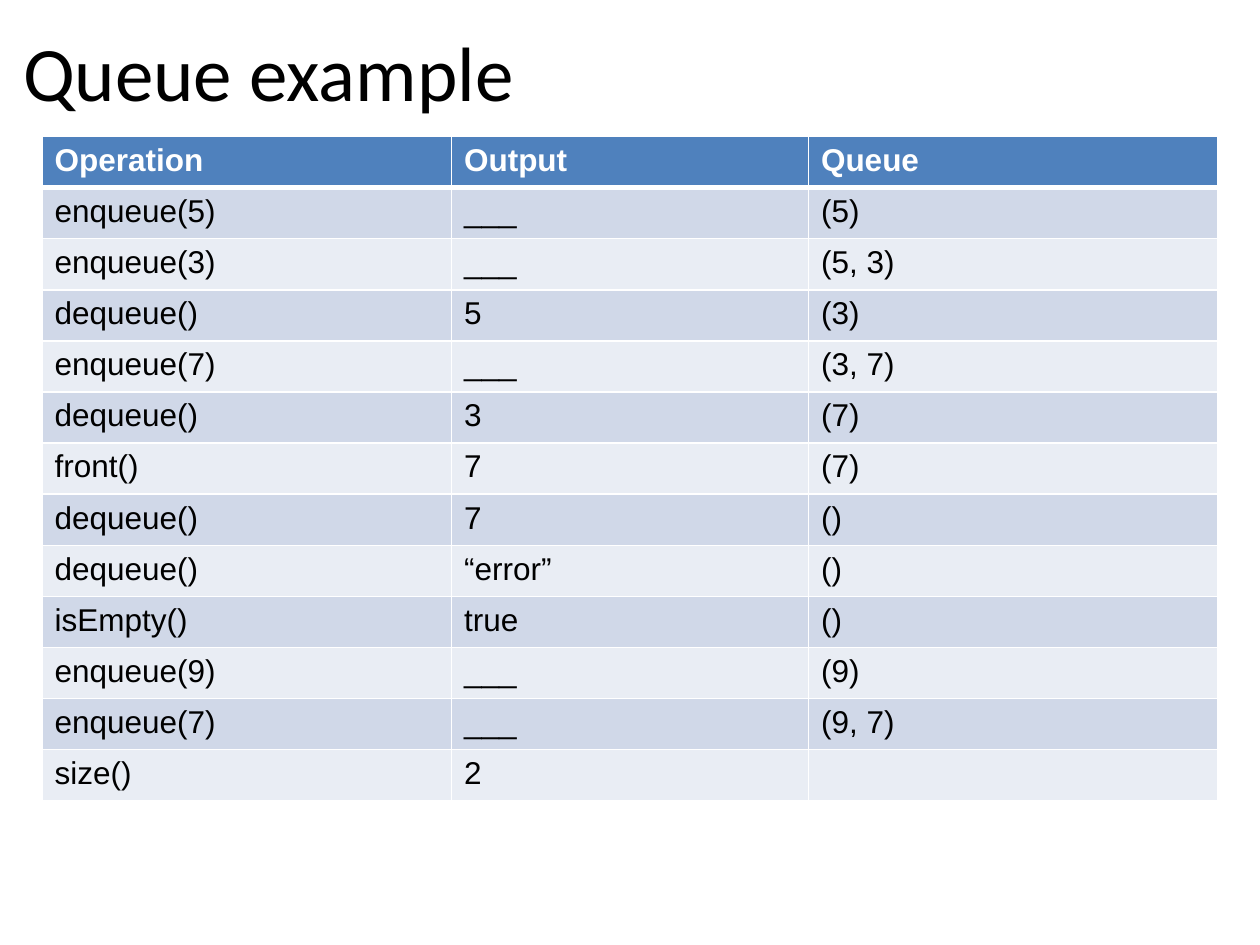
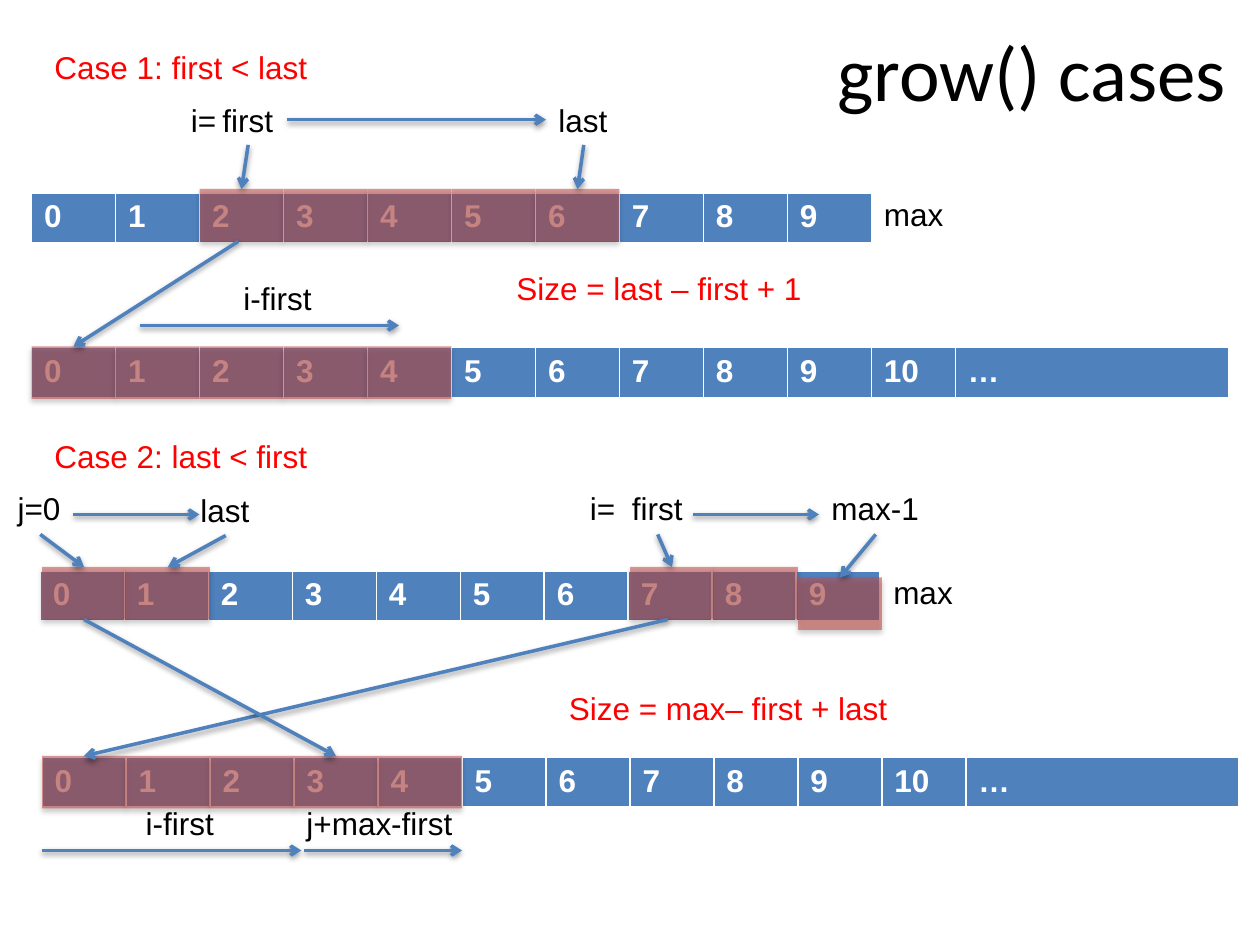
"""Build two slides on queues: an operation trace and the cases of grow()."""
from lxml.etree import Element, SubElement
from pptx import Presentation
from pptx.dml.color import RGBColor
from pptx.enum.shapes import MSO_CONNECTOR as Connector, MSO_SHAPE as Shape
from pptx.enum.text import MSO_ANCHOR as Anchor, MSO_AUTO_SIZE as AutoSize, PP_ALIGN as Align
from pptx.oxml.ns import qn
from pptx.util import Inches, Pt

BLACK = RGBColor(0x00, 0x00, 0x00)
WHITE = RGBColor(0xFF, 0xFF, 0xFF)
RED = RGBColor(0xFF, 0x00, 0x00)
BLUE = RGBColor(0x4F, 0x81, 0xBD)
BRICK = RGBColor(0xC0, 0x50, 0x4D)
BANDS = [RGBColor(0xE9, 0xED, 0xF4), RGBColor(0xD0, 0xD8, 0xE8)]

UNIT = Inches(1) / 12
CELL = 8
MARK_HEIGHT = 5
TABLE_ROW = 4.87
BODY_FONT = {"name": "Arial", "size": Pt(18), "bold": False}
HEADER_FONT = {**BODY_FONT, "bold": True}
TITLE_FONT = {"name": "Calibri", "size": Pt(44)}


def add_grid(slide, left, top, widths, rows):
    frame = [round(n * UNIT) for n in (left, top, sum(widths), TABLE_ROW * len(rows))]
    table = slide.shapes.add_table(len(rows), len(widths), *frame).table
    for column, width in zip(table.columns, widths):
        column.width = round(width * UNIT)
    for row_number, texts in enumerate(rows):
        header = row_number == 0
        table.rows[row_number].height = round(TABLE_ROW * UNIT)
        for column_number, text in enumerate(texts):
            cell = table.cell(row_number, column_number)
            cell.fill.solid()
            cell.fill.fore_color.rgb = BLUE if header else BANDS[row_number % 2]
            properties = cell._tc.get_or_add_tcPr()
            for position, side in enumerate("LRTB"):
                thick = header and side == "B"
                border = Element(qn(f"a:ln{side}"), w=str(Pt(3 if thick else 1)))
                color = SubElement(SubElement(border, qn("a:solidFill")), qn("a:srgbClr"))
                color.set("val", str(WHITE))
                properties.insert(position, border)
            if text:
                run = cell.text_frame.paragraphs[0].add_run()
                run.text = text
                run.font.color.rgb = WHITE if header else BLACK
                for name, value in (HEADER_FONT if header else BODY_FONT).items():
                    setattr(run.font, name, value)


def add_shadow(shape, opacity, distance):
    effects = SubElement(shape.element.spPr, qn("a:effectLst"))
    shadow = SubElement(effects, qn("a:outerShdw"), blurRad="40000", dist=str(distance),
                        dir="5400000", rotWithShape="0")
    color = SubElement(shadow, qn("a:srgbClr"), val="000000")
    SubElement(color, qn("a:alpha"), val=str(opacity * 1000))


presentation = Presentation()
presentation.slide_width, presentation.slide_height = Inches(10), Inches(7.5)

slides = []
for text, alignment in [("Queue example", Align.LEFT), ("grow() cases", Align.RIGHT)]:
    slide = presentation.slides.add_slide(presentation.slide_layouts[5])
    title = slide.shapes.title
    title.left, title.top, title.width, title.height = (
        round(n * UNIT) for n in (1, 1, 117, 11.4))
    title.text_frame.text = text
    title.text_frame.vertical_anchor = Anchor.MIDDLE
    paragraph = title.text_frame.paragraphs[0]
    paragraph.alignment = alignment
    font = paragraph.runs[0].font
    font.color.rgb = BLACK
    for name, value in TITLE_FONT.items():
        setattr(font, name, value)
    slides.append(slide)
trace_slide, grow_slide = slides

operations = [
    ("Operation", "Output", "Queue"),
    ("enqueue(5)", "___", "(5)"),
    ("enqueue(3)", "___", "(5, 3)"),
    ("dequeue()", "5", "(3)"),
    ("enqueue(7)", "___", "(3, 7)"),
    ("dequeue()", "3", "(7)"),
    ("front()", "7", "(7)"),
    ("dequeue()", "7", "()"),
    ("dequeue()", "“error”", "()"),
    ("isEmpty()", "true", "()"),
    ("enqueue(9)", "___", "(9)"),
    ("enqueue(7)", "___", "(9, 7)"),
    ("size()", "2", ""),
]
add_grid(trace_slide, 4, 13, [39, 34, 39], operations)

old_array = [str(index) for index in range(10)]
grown_array = old_array + ["10", "…"]
for left, top, array in [(3, 18.36, old_array), (3.84, 54.36, old_array),
                         (3, 33.12, grown_array), (4, 72.12, grown_array)]:
    widths = [CELL] * len(array)
    if array is grown_array:
        widths[-1] = 26
    add_grid(grow_slide, left, top, widths, [array])

used_cells = [(19, 18, 5), (3, 33, 5), (4, 54, 2), (60, 54, 2), (76, 55, 1), (4, 72, 5)]
for left, top, count in used_cells:
    for index in range(count):
        frame = (left + index * CELL, top, CELL, MARK_HEIGHT)
        mark = grow_slide.shapes.add_shape(Shape.RECTANGLE, *(round(n * UNIT) for n in frame))
        mark.fill.solid()
        mark.fill.fore_color.rgb = BRICK
        color = mark.element.spPr.find(qn("a:solidFill")).find(qn("a:srgbClr"))
        SubElement(color, qn("a:alpha"), val="58000")
        mark.line.fill.background()
        add_shadow(mark, 35, 23000)

arrows = [
    (23.64, 13.8, 23, 18), (55.6, 13.8, 55, 18), (27.36, 11.4, 52, 11.4),
    (22.68, 23, 7, 33), (13.32, 31, 38, 31),
    (3.84, 50.9, 8, 54), (21.5, 51, 16, 54), (7, 49, 19, 49),
    (62.64, 50.9, 64, 54), (83.4, 50.9, 80, 55), (66, 49, 78, 49),
    (63.6, 59, 8, 72), (8, 59, 32, 72), (4, 81, 28.7, 81), (29, 81, 44, 81),
]
for ends in arrows:
    arrow = grow_slide.shapes.add_connector(
        Connector.STRAIGHT, *(round(n * UNIT) for n in ends))
    arrow.line.color.rgb = BLUE
    arrow.line.width = Pt(2)
    SubElement(arrow.element.spPr.find(qn("a:ln")), qn("a:tailEnd"), type="arrow")
    add_shadow(arrow, 38, 20000)

labels = [
    ("Case 1: first < last", 4, 4, 26.8, RED),
    ("i=", 17, 9, 4.9, BLACK),
    ("first", 20, 9, 7.3, BLACK),
    ("last", 52, 9, 7.1, BLACK),
    ("max", 83, 18, 8.2, BLACK),
    ("i-first", 22, 26, 9, BLACK),
    ("Size = last – first + 1", 48, 25, 29.9, RED),
    ("Case 2: last < first", 4, 41, 26.8, RED),
    ("j=0", 0.5, 46, 6.7, BLACK),
    ("last", 17.9, 46.2, 7.1, BLACK),
    ("i=", 55, 46, 4.9, BLACK),
    ("first", 59, 46, 7.3, BLACK),
    ("max-1", 78, 46, 10.8, BLACK),
    ("max", 83.9, 54, 8.2, BLACK),
    ("Size = max– first + last", 53, 65, 33.1, RED),
    ("i-first", 12.7, 76, 9, BLACK),
    ("j+max-first", 28, 76, 16.7, BLACK),
]
for text, left, top, width, color in labels:
    frame = (left, top, width, 4.85)
    label = grow_slide.shapes.add_textbox(*(round(n * UNIT) for n in frame))
    label.text_frame.word_wrap = False
    label.text_frame.auto_size = AutoSize.SHAPE_TO_FIT_TEXT
    run = label.text_frame.paragraphs[0].add_run()
    run.text = text
    run.font.color.rgb = color
    for name, value in BODY_FONT.items():
        setattr(run.font, name, value)

presentation.save("out.pptx")
